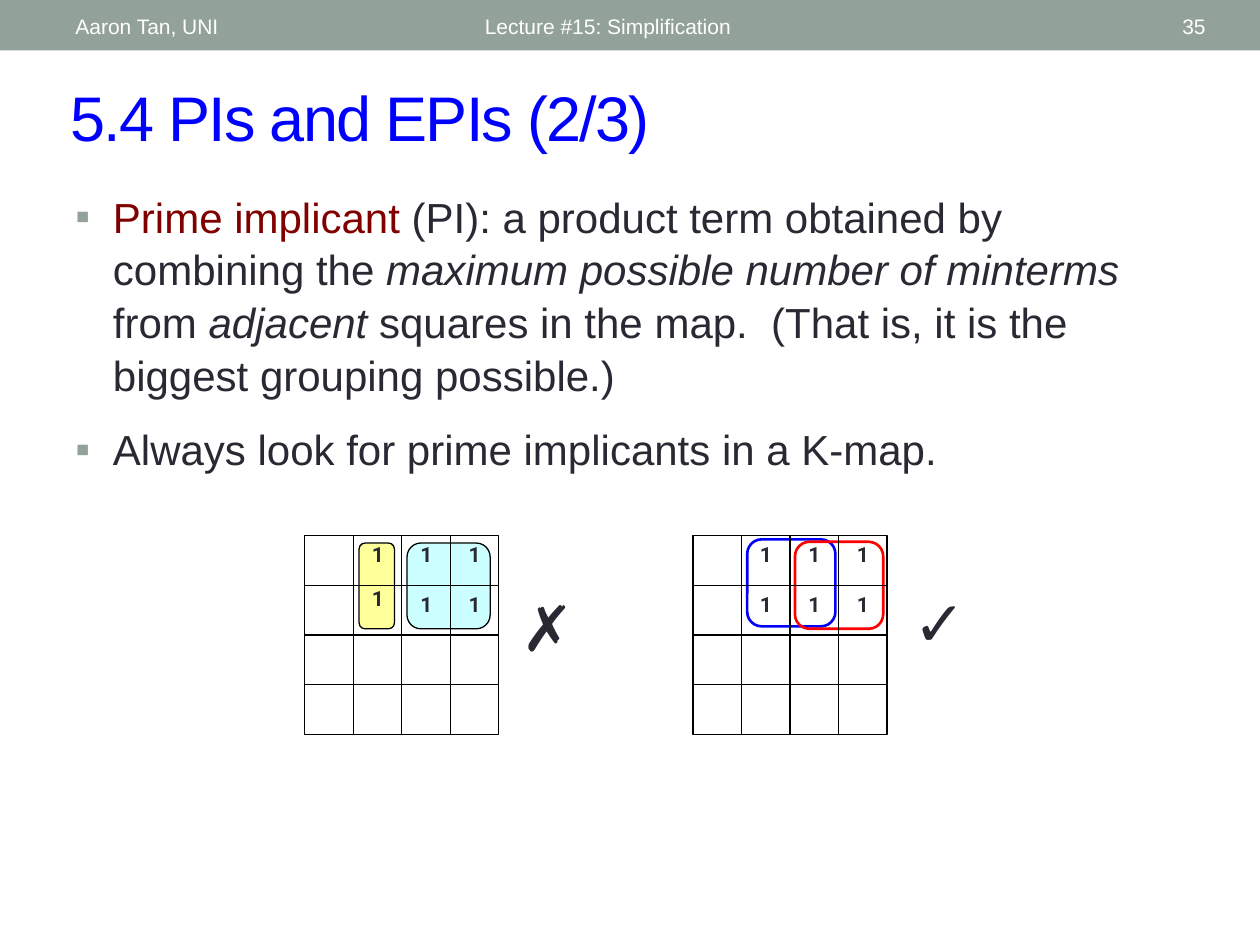
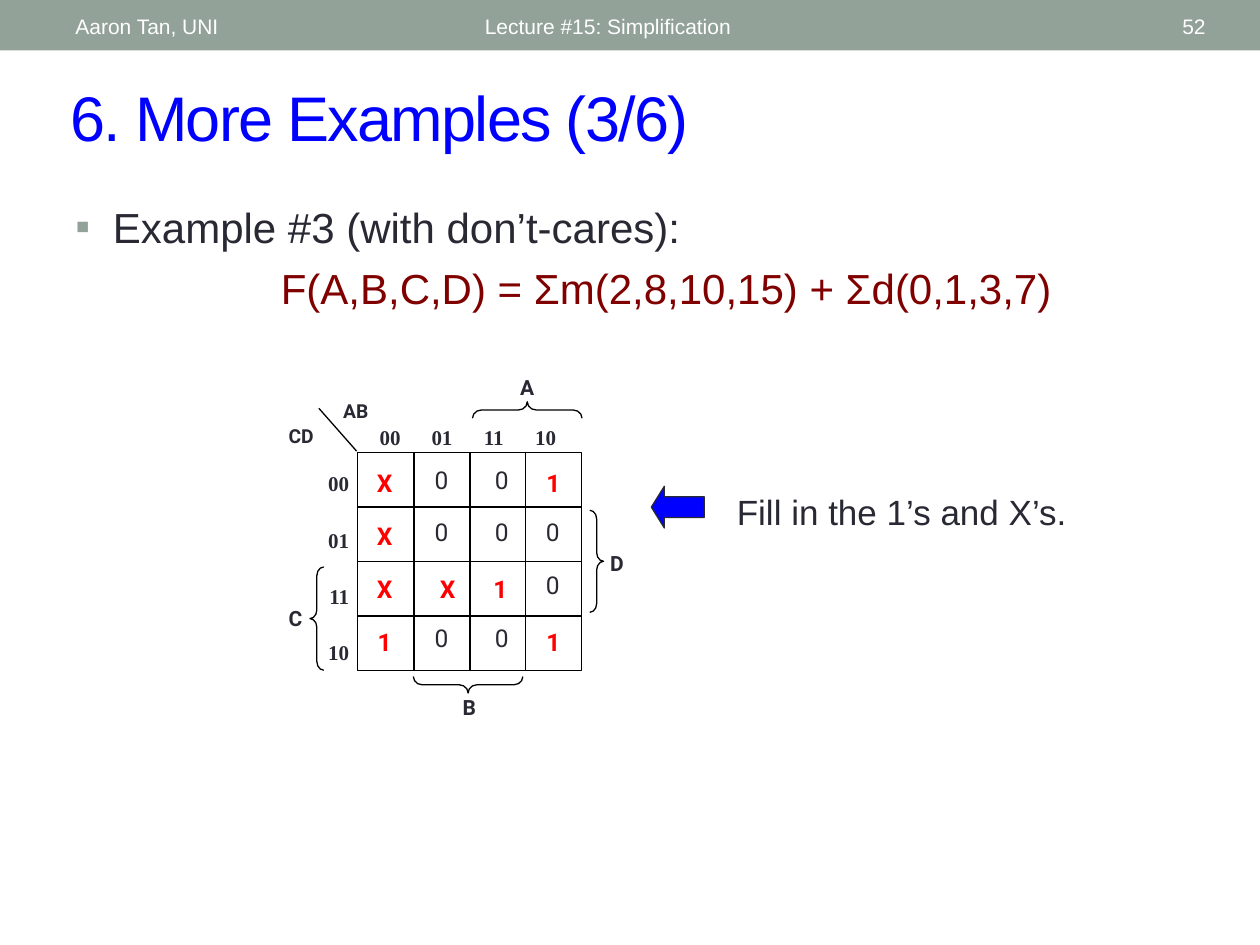
"""Build two lecture slides on prime implicants and Karnaugh maps."""
from lxml import etree
from pptx import Presentation
from pptx.dml import color
from pptx.enum import shapes, text
from pptx.oxml import ns
from pptx.util import Pt

BAND, TITLE, INK, MAROON = "93A299", "0000FF", "292934", "800000"
BLACK, WHITE, RED, BLUE = "000000", "FFFFFF", "FF0000", "0000FF"
ARIAL, ROBOTO, TIMES = "Arial", "Roboto", "Times New Roman"
LEFT, CENTER, RIGHT = text.PP_ALIGN.LEFT, text.PP_ALIGN.CENTER, text.PP_ALIGN.RIGHT
KIND = shapes.MSO_SHAPE


def rgb(code):
    return color.RGBColor.from_string(code)


def add_run(p, words, size, font=ARIAL, ink=INK, bold=False, italic=False):
    r = p.add_run()
    r.text = words
    r.font.size, r.font.name = Pt(size), font
    r.font.bold, r.font.italic = bold, italic
    r.font.color.rgb = rgb(ink)
    return r


prs = Presentation()
prs.slide_width, prs.slide_height = Pt(720), Pt(540)
pi_slide, example_slide = [prs.slides.add_slide(prs.slide_layouts[5]) for _ in range(2)]

outlines = []
lines = []
labels = []

for s, title, number in (
    (pi_slide, "5.4 PIs and EPIs (2/3)", "35"),
    (example_slide, "6. More Examples (3/6)", "52"),
):
    sp = s.shapes.title
    sp.left, sp.top, sp.width, sp.height = Pt(33), Pt(41), Pt(653), Pt(50.4)
    tf = sp.text_frame
    tf.vertical_anchor = text.MSO_ANCHOR.MIDDLE
    p = tf.paragraphs[0]
    p.alignment = LEFT
    r = add_run(p, title, 36, ink=TITLE)
    r.font._element.set("spc", "-100")
    outlines.append((s, KIND.RECTANGLE, 0, 0, 720, 28.8, BAND, None, 0, 0, ()))
    labels += [
        (s, 270, 4, 324, 21, "Lecture #15: Simplification", 12, ARIAL, WHITE, False, LEFT),
        (s, 628, 4, 68, 21, number, 12, ARIAL, WHITE, False, RIGHT),
        (s, 36, 4, 228, 21, "Aaron Tan, UNI", 12, ARIAL, WHITE, False, LEFT),
    ]

for s, top, height, paragraphs in (
    (pi_slide, 104.2, 174, (
        (True, 0, (
            ("Prime implicant", MAROON, False),
            (" (PI): a product term obtained by combining the ", INK, False),
            ("maximum possible number of minterms", INK, True),
            (" from ", INK, False),
            ("adjacent", INK, True),
            (" squares in the map.  (That is, it is the biggest grouping possible.)", INK, False),
        )),
        (True, 12, (("Always look for prime implicants in a K-map.", INK, False),)),
    )),
    (example_slide, 110, 83, (
        (True, 0, (("Example #3 (with don’t-cares):", INK, False),)),
        (False, 4.8, (("F(A,B,C,D) = Σm(2,8,10,15) + Σd(0,1,3,7)", MAROON, False),)),
    )),
):
    tf = s.shapes.add_textbox(Pt(36), Pt(top), Pt(648), Pt(height)).text_frame
    tf.word_wrap = True
    for i, (bulleted, gap, runs) in enumerate(paragraphs):
        p = tf.add_paragraph() if i else tf.paragraphs[0]
        p.line_spacing, p.space_before = 1.05, Pt(gap)
        pPr = p._p.get_or_add_pPr()
        pPr.set("marL", str(Pt(21.5 if bulleted else 117.4)))
        pPr.set("indent", str(Pt(-21.5 if bulleted else 0)))
        if bulleted:
            buClr = etree.SubElement(pPr, ns.qn("a:buClr"))
            etree.SubElement(buClr, ns.qn("a:srgbClr"), val=BAND)
            etree.SubElement(pPr, ns.qn("a:buFont"), typeface=ARIAL)
            etree.SubElement(pPr, ns.qn("a:buChar"), char="▪")
        for words, ink, italic in runs:
            add_run(p, words, 24, ink=ink, italic=italic)

for x, y, w, h, fill, line, width in (
    (232.6, 310.3, 47.5, 49, "CCFFFF", BLACK, 0.75),
    (205.2, 310.3, 20.2, 49, "FFFF99", BLACK, 0.75),
    (427, 308.2, 50.4, 49.7, None, BLUE, 1.5),
    (454.3, 309.6, 50.4, 49.7, None, RED, 1.5),
):
    outlines.append((pi_slide, KIND.ROUNDED_RECTANGLE, x, y, w, h, fill, line, width, 0, (0.167,)))

for s, x, y, cell_w, cell_h in (
    (pi_slide, 174.2, 306, 27.7, 28.45),
    (pi_slide, 396, 306, 27.7, 28.45),
    (example_slide, 204.5, 258.5, 32, 31.15),
):
    w, h = 4 * cell_w, 4 * cell_h
    outlines.append((s, KIND.RECTANGLE, x, y, w, h, None, BLACK, 0.75, 0, ()))
    for i in range(1, 4):
        lines.append((s, x, y + i * cell_h, x + w, y + i * cell_h))
        lines.append((s, x + i * cell_w, y, x + i * cell_w, y + h))

for x, yellow_drop in ((174.2, 25.2), (396, 28.45)):
    for col in (1, 2, 3):
        for drop in (0, yellow_drop if col == 1 else 28.45):
            labels.append((pi_slide, x + col * 27.7, 306 + drop, 28, 28.8,
                           "1", 12, ROBOTO, INK, True, CENTER))
labels += [
    (pi_slide, 290.9, 332.6, 55.4, 66, "✗", 36, ARIAL, INK, False, LEFT),
    (pi_slide, 514.8, 329.8, 55.4, 66, "✓", 36, ARIAL, INK, False, LEFT),
    (example_slide, 414, 277, 222, 31, "Fill in the 1’s and X’s.", 20, ARIAL, INK, False, LEFT),
]

for kind, x, y, w, h, fill, line, turn, adj in (
    (KIND.LEFT_ARROW, 372.2, 277.9, 30.2, 23.8, BLUE, INK, 0, (0.5, 0.312)),
    (KIND.LEFT_BRACE, 177.1, 324, 7.9, 59, None, BLACK, 0, (0.63, 0.5)),
    (KIND.LEFT_BRACE, 296.6, 203, 9.4, 62.6, None, BLACK, 90, (0.54, 0.5)),
    (KIND.LEFT_BRACE, 262.8, 360, 9.4, 62.6, None, BLACK, 270, (0.54, 0.5)),
    (KIND.RIGHT_BRACE, 337, 291.6, 7.9, 58.3, None, BLACK, 0, (0.63, 0.5)),
):
    outlines.append((example_slide, kind, x, y, w, h, fill, line, 0.75, turn, adj))
lines.append((example_slide, 203.8, 257.8, 182.2, 233.3))

for x, y, w, words, size in (
    (289.4, 210.2, 23.8, "A", 12),
    (256.3, 393.1, 23.8, "B", 12),
    (157, 342.7, 23.8, "C", 12),
    (340.6, 311, 23.8, "D", 12),
    (149.8, 239, 44.6, "CD", 11),
    (185, 224.6, 36.7, "AB", 11),
):
    labels.append((example_slide, x, y, w, 21, words, size, ROBOTO, INK, True, CENTER))

for i, code in enumerate(("00", "01", "11", "10")):
    labels.append((example_slide, 205 + 29.6 * i, 239, 36, 21, code, 12, TIMES, INK, True, CENTER))
    labels.append((example_slide, 178.6, 265.5 + 32.2 * i, 28, 21, code, 12, TIMES, INK, True, RIGHT))

zero_lefts = (203.8, 236.2, 270.7, 299.9)
mark_lefts = (203.8, 239.8, 270, 300.2)
for row, values in enumerate(("X001", "X000", "XX10", "1001")):
    for col, value in enumerate(values):
        marked = value != "0"
        x = (mark_lefts if marked else zero_lefts)[col]
        y = (264 if marked else 262) + 30.2 * row
        labels.append((example_slide, x, y, 32, 25, value, 14, ROBOTO,
                       RED if marked else INK, marked, CENTER))

for s, kind, x, y, w, h, fill, line, width, turn, adj in outlines:
    sp = s.shapes.add_shape(kind, Pt(x), Pt(y), Pt(w), Pt(h))
    sp.shadow.inherit = False
    sp.rotation = turn
    for i, value in enumerate(adj):
        sp.adjustments[i] = value
    if fill:
        sp.fill.solid()
        sp.fill.fore_color.rgb = rgb(fill)
    else:
        sp.fill.background()
    if line:
        sp.line.color.rgb = rgb(line)
        sp.line.width = Pt(width)
    else:
        sp.line.fill.background()

for s, x1, y1, x2, y2 in lines:
    cx = s.shapes.add_connector(shapes.MSO_CONNECTOR.STRAIGHT, Pt(x1), Pt(y1), Pt(x2), Pt(y2))
    cx.line.color.rgb = rgb(BLACK)
    cx.line.width = Pt(0.75)
    etree.SubElement(cx._element.spPr, ns.qn("a:effectLst"))

for s, x, y, w, h, words, size, font, ink, bold, align in labels:
    tf = s.shapes.add_textbox(Pt(x), Pt(y), Pt(w), Pt(h)).text_frame
    tf.word_wrap = True
    p = tf.paragraphs[0]
    p.alignment = align
    add_run(p, words, size, font, ink, bold)

prs.save("out.pptx")
